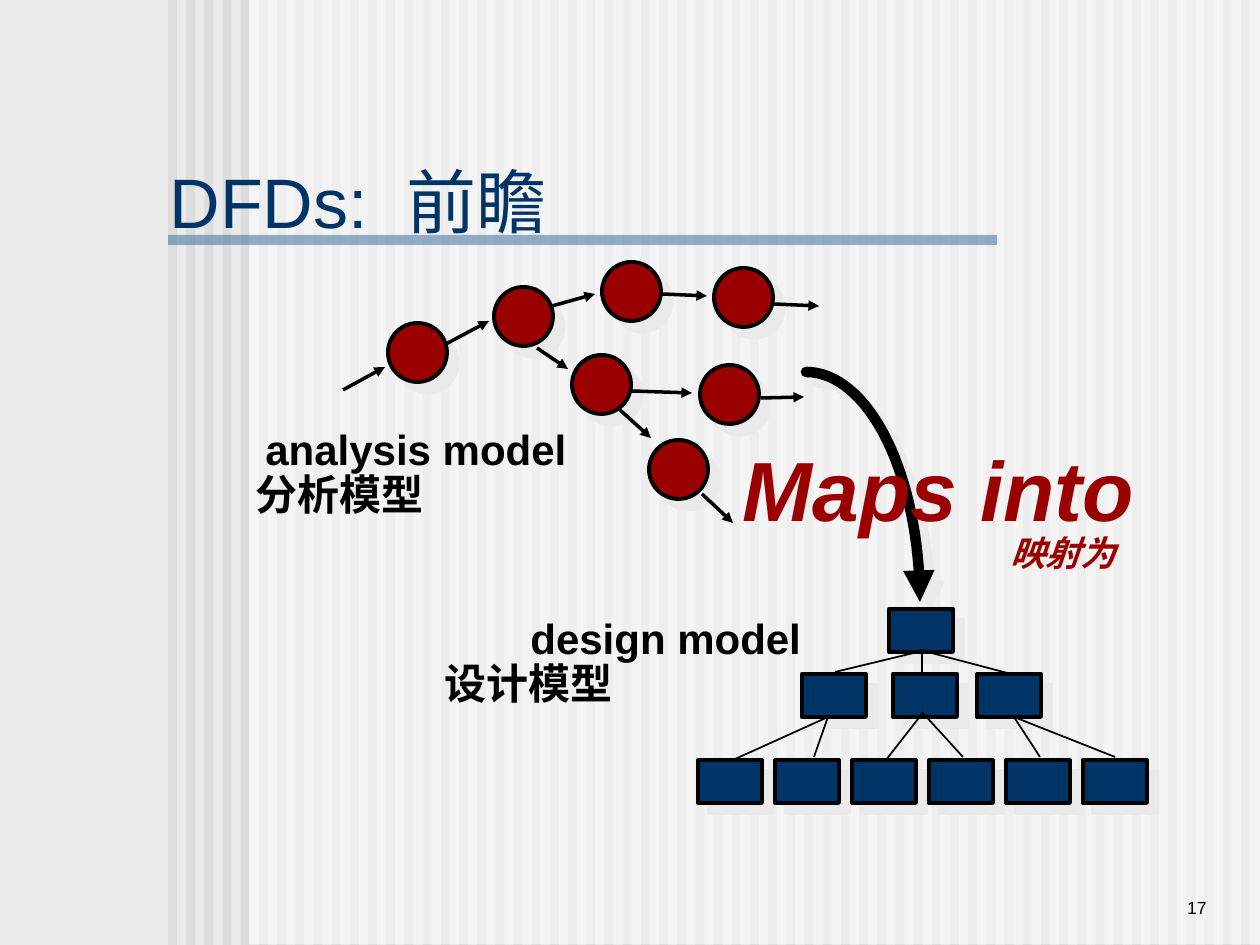
"""Build the DFD slide: an analysis model mapped into a design model."""
from math import cos, pi, sin

from lxml.etree import SubElement
from pptx import Presentation
from pptx.dml.color import RGBColor
from pptx.enum.shapes import MSO_CONNECTOR, MSO_SHAPE
from pptx.enum.text import MSO_ANCHOR, MSO_AUTO_SIZE, PP_ALIGN
from pptx.oxml.ns import qn
from pptx.util import Pt

PX = 914400 // 126
SIZE = (1260, 945)
HUES = {"back": "EAEAEA", "stripe": "DDDDDD", "veil": "FFFFFF", "rule": "336699",
        "navy": "003366", "red": "9A0000", "ink": "000000"}
LATIN, HAN = "Arial", "Noto Sans CJK SC"

STRIPES = {"left": 168, "last": 1241, "count": 60, "width": 9}
VEIL = (249, 0, 1011, 944)
RULE = (168, 235, 829, 10)

TITLE = ("DFDs:", " ", "前瞻")
TITLE_BOX = (157, 157, 828, 87)
NUMBER = ("17", (1040, 861, 179, 63))
LABELS = [
    ("映射为", (998, 525, 130, 54), 20, "red", True, LATIN),
    ("分析模型", (243, 462, 193, 63), 24, "ink", False, HAN),
    ("设计模型", (432, 651, 193, 63), 24, "ink", False, HAN),
    ("Maps into", (730, 431, 417, 113), 48, "red", True, LATIN),
    ("analysis model", (253, 417, 326, 63), 24, "ink", False, LATIN),
    ("design model", (518, 606, 296, 63), 24, "ink", False, LATIN),
]

BUBBLE = 59
BUBBLES = [(388, 323), (494, 287), (602, 262), (572, 355),
           (649, 440), (714, 268), (700, 365)]
FLOWS = [
    (343, 390, 385, 367), (446, 344, 489, 321), (552, 306, 595, 294),
    (662, 294, 707, 296), (774, 304, 819, 306), (537, 348, 568, 369),
    (620, 410, 651, 438), (702, 494, 733, 523), (761, 398, 804, 397),
    (631, 391, 692, 393),
]
MODULE = (64, 43)
ROWS = [(609, [889]), (674, [802, 893, 977]),
        (760, [698 + 77 * i for i in range(6)])]
TREE = [
    (922, 651, 835, 672), (922, 651, 922, 672), (920, 650, 1011, 674),
    (828, 717, 733, 760), (828, 717, 814, 757), (922, 714, 886, 760),
    (922, 712, 963, 757), (1014, 717, 1040, 757), (1014, 717, 1115, 757),
]
ARC = {"left": 806, "top": 372, "wide": 114, "high": 230, "steps": 32}


def hue(name):
    return RGBColor.from_string(HUES[name])


def scale(box):
    return [round(n * PX) for n in box]


def paint(shape, fill, alpha=None):
    shape.shadow.inherit = False
    shape.fill.solid()
    shape.fill.fore_color.rgb = hue(fill)
    shape.line.fill.background()
    if alpha:
        tint = shape.fill._xPr.find(qn("a:solidFill"))[0]
        SubElement(tint, qn("a:alpha"), val=str(alpha * 1000))


def stroke(shape, width, head=False):
    shape.line.color.rgb = hue("ink")
    shape.line.width = Pt(width)
    if head:
        line = shape._element.spPr.find(qn("a:ln"))
        SubElement(line, qn("a:tailEnd"), type="triangle")


def shade(shape):
    shape.shadow.inherit = False
    group = shape._element.spPr.find(qn("a:effectLst"))
    drop = SubElement(group, qn("a:outerShdw"), dist=str(Pt(8.5)),
                      dir="2700000", algn="ctr", rotWithShape="0")
    SubElement(drop, qn("a:srgbClr"), val=HUES["back"])


def block(shapes, kind, box, fill, alpha=None):
    shape = shapes.add_shape(kind, *scale(box))
    paint(shape, fill, alpha)
    return shape


def node(shapes, kind, box, fill):
    shape = block(shapes, kind, box, fill)
    stroke(shape, 2.25)
    shade(shape)


def link(shapes, ends, width, head=False):
    line = shapes.add_connector(MSO_CONNECTOR.STRAIGHT, *scale(ends))
    stroke(line, width, head)
    SubElement(line._element.spPr, qn("a:effectLst"))


def style(run, size, fill, bold=False, slant=False, face=LATIN):
    font = run.font
    font.size, font.bold, font.italic = Pt(size), bold, slant
    font.color.rgb = hue(fill)
    font.name = face
    SubElement(font._element, qn("a:ea"), typeface=HAN)


def label(shapes, text, box, *look):
    frame = shapes.add_textbox(*scale(box)).text_frame
    frame.text = text
    frame.word_wrap = False
    style(frame.paragraphs[0].runs[0], *look)
    return frame


def sweep(shapes):
    turns = [pi / 2 * i / ARC["steps"] for i in range(ARC["steps"] + 1)]
    dots = [(round((ARC["left"] + ARC["wide"] * sin(t)) * PX),
             round((ARC["top"] + ARC["high"] * (1 - cos(t))) * PX))
            for t in turns]
    pen = shapes.build_freeform(*dots[0])
    pen.add_line_segments(dots[1:], close=False)
    curve = pen.convert_to_shape()
    curve.fill.background()
    stroke(curve, 6, True)
    curve._element.spPr.find(qn("a:ln")).set("cap", "rnd")
    shade(curve)


def head(slide):
    title = slide.shapes.title
    slide.shapes._spTree.append(title._element)
    title.left, title.top, title.width, title.height = scale(TITLE_BOX)
    frame = title.text_frame
    frame.auto_size = MSO_AUTO_SIZE.NONE
    frame.vertical_anchor = MSO_ANCHOR.MIDDLE
    para = frame.paragraphs[0]
    para.alignment = PP_ALIGN.LEFT
    for text in TITLE:
        run = para.add_run()
        run.text = text
        style(run, 40, "navy")
    para.runs[1].font._element.set("spc", "1100")


def main():
    deck = Presentation()
    deck.slide_width, deck.slide_height = scale(SIZE)
    slide = deck.slides.add_slide(deck.slide_layouts[5])
    shapes = slide.shapes
    slide.background.fill.solid()
    slide.background.fill.fore_color.rgb = hue("back")

    step = (STRIPES["last"] - STRIPES["left"]) / (STRIPES["count"] - 1)
    for i in range(STRIPES["count"]):
        box = (STRIPES["left"] + i * step, 0, STRIPES["width"], SIZE[1])
        block(shapes, MSO_SHAPE.RECTANGLE, box, "stripe")
    block(shapes, MSO_SHAPE.RECTANGLE, VEIL, "veil", 50)
    block(shapes, MSO_SHAPE.RECTANGLE, RULE, "rule", 50)

    frame = label(shapes, *NUMBER, 10, "ink")
    frame.word_wrap = True
    frame.vertical_anchor = MSO_ANCHOR.BOTTOM
    frame.paragraphs[0].alignment = PP_ALIGN.RIGHT

    sweep(shapes)
    head(slide)
    for spot in BUBBLES:
        node(shapes, MSO_SHAPE.OVAL, (*spot, BUBBLE, BUBBLE), "red")
    for ends in FLOWS:
        link(shapes, ends, 2, True)
    for top, lefts in ROWS:
        for left in lefts:
            node(shapes, MSO_SHAPE.RECTANGLE, (left, top, *MODULE), "navy")
    for ends in TREE:
        link(shapes, ends, 1)
    for text, box, size, fill, slant, face in LABELS:
        label(shapes, text, box, size, fill, True, slant, face)
    deck.save("out.pptx")


if __name__ == "__main__":
    main()
